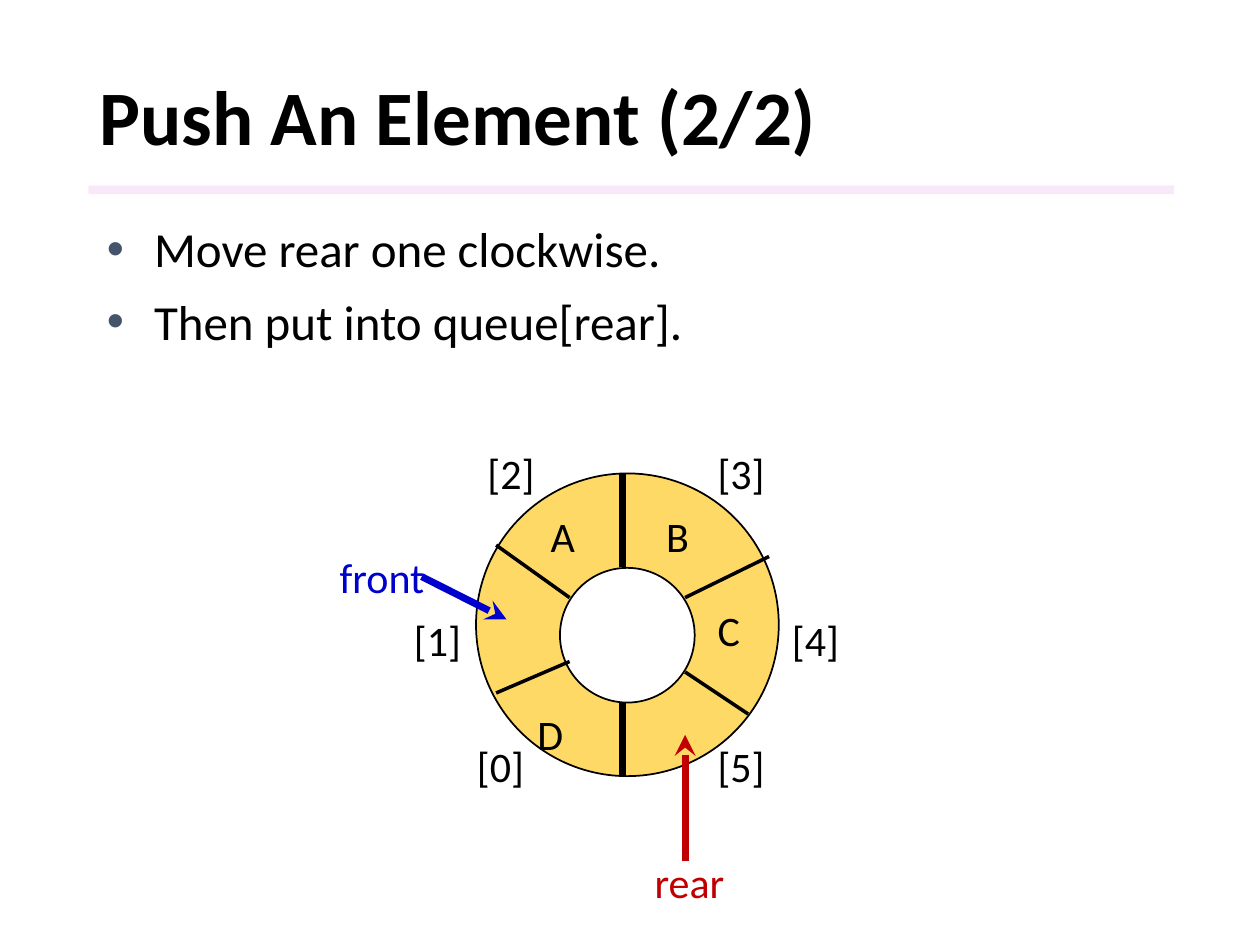
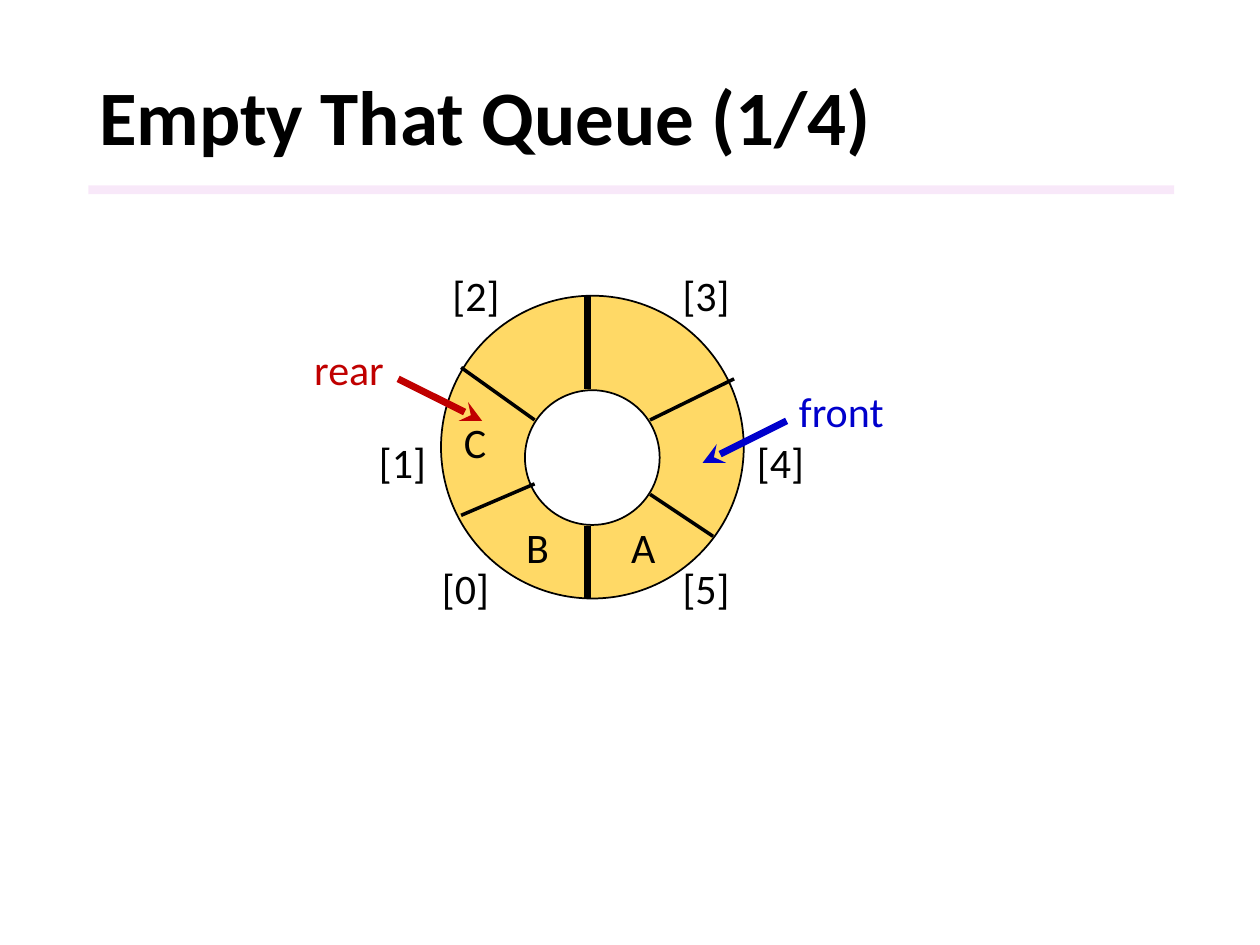
from lxml import etree
from pptx import Presentation
from pptx.dml.color import RGBColor
from pptx.enum.shapes import MSO_CONNECTOR, MSO_SHAPE
from pptx.enum.text import MSO_ANCHOR, PP_ALIGN
from pptx.oxml.ns import qn
from pptx.util import Pt

STRAIGHT = MSO_CONNECTOR.STRAIGHT
RECTANGLE, OVAL = MSO_SHAPE.RECTANGLE, MSO_SHAPE.OVAL
MIDDLE, LEFT = MSO_ANCHOR.MIDDLE, PP_ALIGN.LEFT

FONT = "Calibri"
BLACK, WHITE, GOLD = "000000", "FFFFFF", "FFD966"
BLUE, RED, LILAC, SLATE = "0000CC", "C00000", "F3D2F4", "44546A"

# Ring geometry, in points from the ring's top left corner
CIRCLES = [(0, 0, 173, GOLD), (48, 54, 77, WHITE)]
DIVIDERS = [  # start, end, line width
    ((83.5, -0.5), (83.5, 53.5), 4),
    ((83.5, 131.5), (83.5, 173.5), 4),
    ((11.5, 41), (53.5, 71), 2),
    ((53.5, 107.5), (11.5, 125.5), 2),
    ((119.5, 71), (167.5, 47.5), 2),
    ((119.5, 113.5), (155.5, 137.5), 2),
]
INDEX_PLACES = [(-6.5, 149), (-42.5, 77), (-0.5, -18.5),
                (131, -18.5), (173.5, 77), (131, 149)]

# Per slide: ring origin, elements, and pointers (name, colour, label, arrow)
SLIDES = [
    {
        "title": "Push An Element (2/2)",
        "bullets": ["Move rear one clockwise.", "Then put into queue[rear]."],
        "ring": (272, 270.5),
        "elements": [("A", 35.5, 17.5), ("B", 101.5, 17.5),
                     ("C", 131, 71.5), ("D", 28, 131)],
        "pointers": [
            ("front", BLUE, (-85, 41), (-31, 59), (17.5, 83.5)),
            ("rear", RED, (95, 215.5), (119.5, 221.5), (119.5, 149.5)),
        ],
    },
    {
        "title": "Empty That Queue (1/4)",
        "bullets": [],
        "ring": (252, 169),
        "elements": [("A", 101.5, 125.5), ("B", 41.5, 125.5), ("C", 6, 65.5)],
        "pointers": [
            ("front", BLUE, (197.5, 47.5), (197.5, 71.5), (149.5, 95.5)),
            ("rear", RED, (-79.5, 24), (-24.5, 47.5), (23.5, 71.5)),
        ],
    },
]


def color(value):
    return RGBColor.from_string(value)


def add_label(page, text, left, top, width, ink=BLACK):
    box = page.shapes.add_textbox(Pt(left), Pt(top), Pt(width), Pt(36))
    box.text_frame.word_wrap = True
    box.text_frame.text = text
    font = box.text_frame.paragraphs[0].runs[0].font
    font.name, font.size, font.color.rgb = FONT, Pt(24), color(ink)


deck = Presentation()
deck.slide_width, deck.slide_height = Pt(720), Pt(540)

for content in SLIDES:
    page = deck.slides.add_slide(deck.slide_layouts[5])

    # Title
    title = page.shapes.title
    title.left, title.top, title.width, title.height = Pt(49.5), Pt(29), Pt(620.5), Pt(80)
    title.text_frame.text = content["title"]
    title.text_frame.vertical_anchor = MIDDLE
    heading = title.text_frame.paragraphs[0]
    heading.alignment, heading.line_spacing = LEFT, 0.9
    font = heading.runs[0].font
    font.name, font.size, font.bold, font.color.rgb = FONT, Pt(44), True, color(BLACK)

    # Translucent band under the title
    band = page.shapes.add_shape(RECTANGLE, Pt(50.5), Pt(106), Pt(620.5), Pt(5))
    band.shadow.inherit = False
    band.fill.solid()
    band.fill.fore_color.rgb = color(LILAC)
    band.line.fill.background()
    tint = band.fill._xPr.find(qn("a:solidFill"))[0]
    etree.SubElement(tint, qn("a:alpha"), val="50000")

    # Bullets
    if content["bullets"]:
        box = page.shapes.add_textbox(Pt(54), Pt(121.5), Pt(648), Pt(78.5))
        box.text_frame.word_wrap = True
        box.text_frame.text = "\n".join(content["bullets"])
        for number, para in enumerate(box.text_frame.paragraphs):
            if number:
                para.space_before = Pt(8)
            properties = para._p.get_or_add_pPr()
            properties.set("marL", str(Pt(27)))
            properties.set("indent", str(-Pt(27)))
            bullet_color = etree.SubElement(properties, qn("a:buClr"))
            etree.SubElement(bullet_color, qn("a:srgbClr"), val=SLATE)
            etree.SubElement(properties, qn("a:buFont"), typeface="Arial")
            etree.SubElement(properties, qn("a:buChar"), char="•")
            font = para.runs[0].font
            font.name, font.size, font.color.rgb = FONT, Pt(28), color(BLACK)

    # Ring
    ring_left, ring_top = content["ring"]
    for left, top, size, fill in CIRCLES:
        circle = page.shapes.add_shape(
            OVAL, Pt(ring_left + left), Pt(ring_top + top), Pt(size), Pt(size))
        circle.shadow.inherit = False
        circle.fill.solid()
        circle.fill.fore_color.rgb = color(fill)
        circle.line.color.rgb = color(BLACK)
        circle.line.width = Pt(1)

    # Dividers and pointer arrows
    strokes = [(*divider, BLACK, False) for divider in DIVIDERS]
    strokes += [(start, end, 4, ink, True)
                for name, ink, place, start, end in content["pointers"]]
    for start, end, width, ink, is_arrow in strokes:
        stroke = page.shapes.add_connector(
            STRAIGHT, Pt(ring_left + start[0]), Pt(ring_top + start[1]),
            Pt(ring_left + end[0]), Pt(ring_top + end[1]))
        stroke.line.color.rgb = color(ink)
        stroke.line.width = Pt(width)
        if is_arrow:
            etree.SubElement(stroke.line._get_or_add_ln(), qn("a:tailEnd"), type="stealth")
        etree.SubElement(stroke._element.spPr, qn("a:effectLst"))

    # Slot numbers, elements and pointer names
    for index, (left, top) in enumerate(INDEX_PLACES):
        add_label(page, f"[{index}]", ring_left + left, ring_top + top, 66)
    for element, left, top in content["elements"]:
        add_label(page, element, ring_left + left, ring_top + top, 48)
    for name, ink, (left, top), start, end in content["pointers"]:
        add_label(page, name, ring_left + left, ring_top + top, 72, ink)

deck.save("out.pptx")
